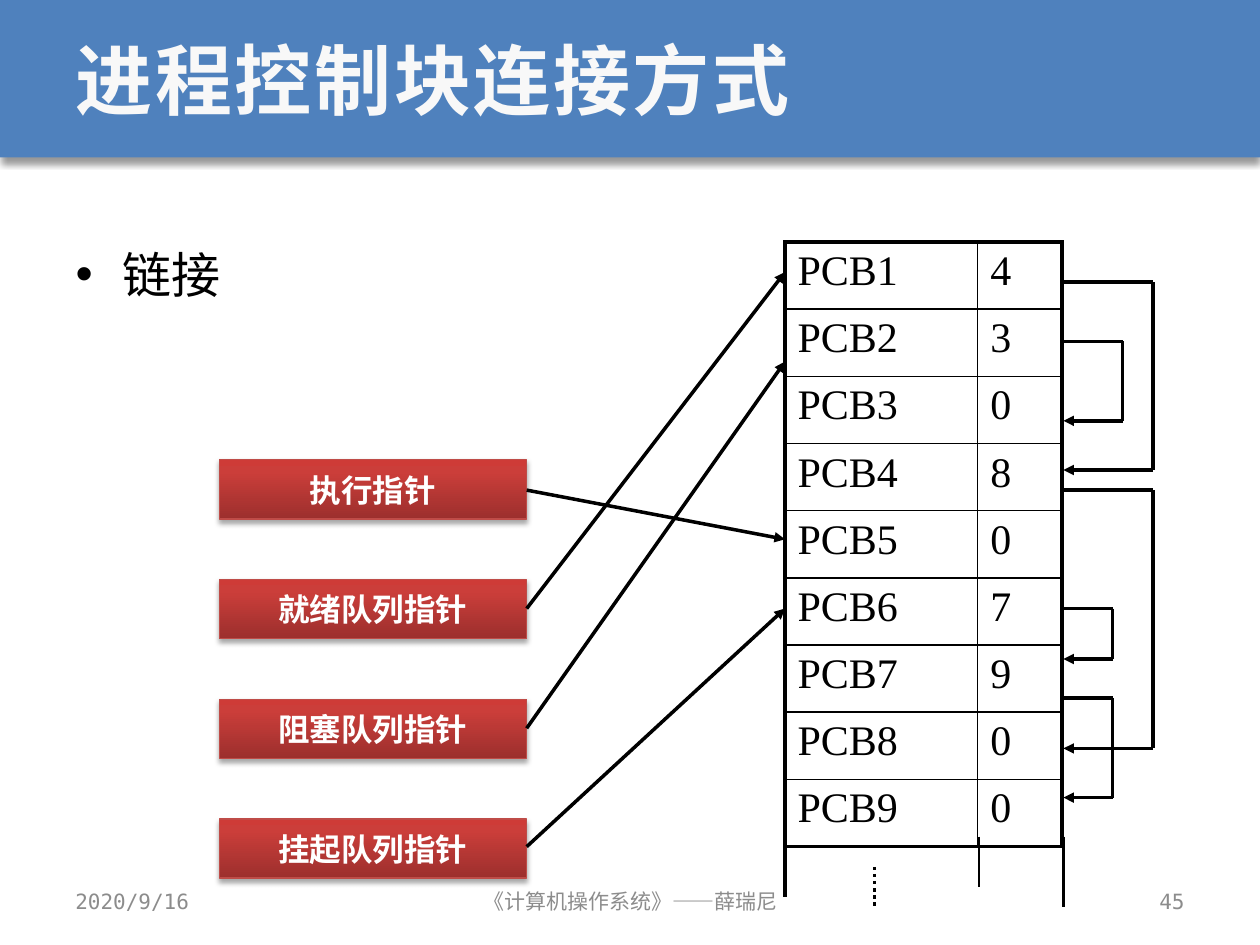
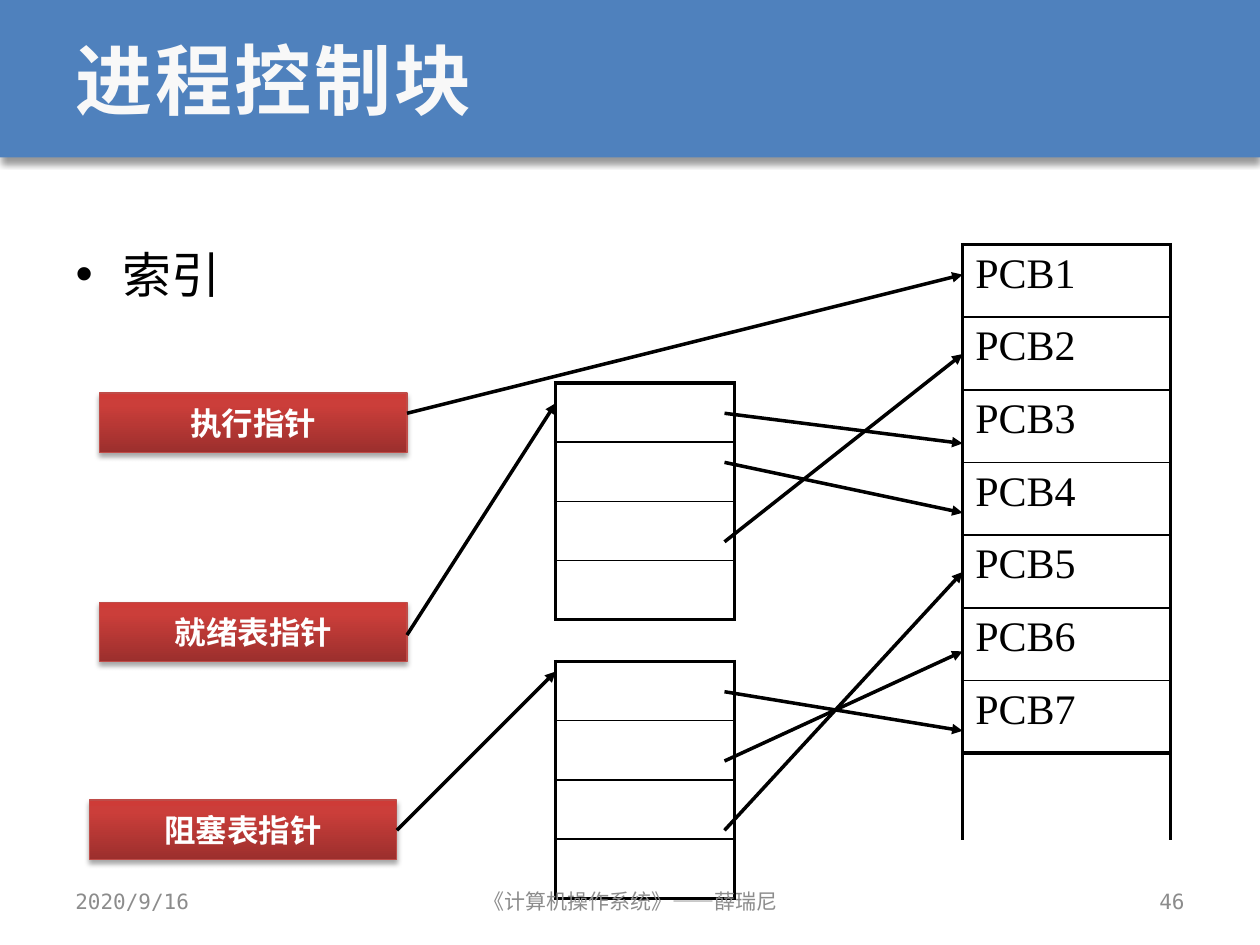
from copy import deepcopy

from pptx import Presentation
from pptx import util as u
from pptx.dml.color import RGBColor
from pptx.enum import dml, shapes, text
from pptx.oxml import parse_xml
from pptx.oxml.ns import nsdecls, qn

BLACK = RGBColor(0x00, 0x00, 0x00)
WHITE = RGBColor(0xFF, 0xFF, 0xFF)
BAND_BLUE = RGBColor(0x4F, 0x81, 0xBD)
TITLE_WHITE = RGBColor(0xF8, 0xF8, 0xF8)
FOOTER_GREY = RGBColor(0x8C, 0x8C, 0x8C)
BUTTON_BORDER = RGBColor(0xBF, 0x4C, 0x48)
BUTTON_STOPS = [
    (0, RGBColor(0x9C, 0x2F, 0x2D)),
    (0.8, RGBColor(0xCB, 0x3E, 0x3A)),
    (1, RGBColor(0xCE, 0x3B, 0x37)),
]

MONO = "DejaVu Sans Mono"
TITLE_FONT = {"name": MONO, "size": u.Pt(44), "bold": True, "color": TITLE_WHITE}
BODY_FONT = {"name": MONO, "size": u.Pt(28), "color": BLACK}
FOOTER_FONT = {"name": MONO, "size": u.Pt(12), "color": FOOTER_GREY}
BUTTON_FONT = {"name": "Arial", "size": u.Pt(18), "bold": True, "color": WHITE}
CELL_FONT = {"name": "Times New Roman", "size": u.Pt(24), "color": BLACK}

BUTTON_WIDTH, BUTTON_HEIGHT = 2.44, 0.47
OUTER_BORDER, INNER_BORDER = 2.25, 1
BODY_INDENT = 0.37
FOOTER_TEXT = "《计算机操作系统》——薛瑞尼"


def apply_font(font, values):
    for name, value in values.items():
        if name == "color":
            font.color.rgb = value
        else:
            setattr(font, name, value)


def write(paragraph, content, font, align=text.PP_ALIGN.LEFT):
    paragraph.alignment = align
    run = paragraph.add_run()
    run.text = content
    apply_font(run.font, font)
    return run


def place(shape, left, top, width, height):
    box = {"left": left, "top": top, "width": width, "height": height}
    for name, value in box.items():
        setattr(shape, name, u.Inches(value))


def add_shadow(shape, blur, distance, opacity):
    """Drop a black shadow straight down; blur and distance in points."""
    shape.element.spPr.append(parse_xml(
        f'<a:effectLst {nsdecls("a")}><a:outerShdw blurRad="{u.Pt(blur)}" '
        f'dist="{u.Pt(distance)}" dir="5400000" rotWithShape="0">'
        f'<a:srgbClr val="000000"><a:alpha val="{opacity * 1000}"/></a:srgbClr>'
        f'</a:outerShdw></a:effectLst>'))


def add_rectangle(slide, left, top, width, height):
    return slide.shapes.add_shape(
        shapes.MSO_SHAPE.RECTANGLE,
        *map(u.Inches, (left, top, width, height)))


def add_title_band(slide):
    """Put the title band behind everything else on the slide."""
    band = add_rectangle(slide, 0, 0, 10, 1.25)
    band.fill.solid()
    band.fill.fore_color.rgb = BAND_BLUE
    band.line.fill.background()
    add_shadow(band, 4, 3, 40)
    slide.shapes.element.insert(2, band.element)


def fill_title(slide, content):
    title = slide.shapes.title
    place(title, 0.5, 0, 9, 1.25)
    frame = title.text_frame
    frame.auto_size = text.MSO_AUTO_SIZE.NONE
    frame.vertical_anchor = text.MSO_ANCHOR.MIDDLE
    run = write(frame.paragraphs[0], content, TITLE_FONT)
    run.font._element.set("spc", "150")


def fill_body(slide, content):
    body = slide.placeholders[1]
    place(body, 0.5, 1.75, 4.42, 4.95)
    body.text_frame.auto_size = text.MSO_AUTO_SIZE.NONE
    paragraph = body.text_frame.paragraphs[0]
    properties = paragraph._p.get_or_add_pPr()
    properties.set("marL", str(u.Inches(BODY_INDENT)))
    properties.set("indent", str(u.Inches(-BODY_INDENT)))
    properties.append(parse_xml(f'<a:buChar {nsdecls("a")} char="•"/>'))
    paragraph.line_spacing = 1.3
    paragraph.space_before = u.Pt(0)
    write(paragraph, content, BODY_FONT)


def add_footer(slide, number):
    parts = [
        ("2020/9/16", 0.5, 2.33, text.PP_ALIGN.LEFT),
        (FOOTER_TEXT, 3.42, 3.17, text.PP_ALIGN.CENTER),
        (str(number), 7.17, 2.33, text.PP_ALIGN.RIGHT),
    ]
    for content, left, width, align in parts:
        box = slide.shapes.add_textbox(
            *map(u.Inches, (left, 6.95, width, 0.4)))
        frame = box.text_frame
        frame.word_wrap = True
        frame.vertical_anchor = text.MSO_ANCHOR.MIDDLE
        write(frame.paragraphs[0], content, FOOTER_FONT, align)


def add_pointer_button(slide, label, left, top):
    button = add_rectangle(slide, left, top, BUTTON_WIDTH, BUTTON_HEIGHT)
    button.fill.gradient()
    button.fill.gradient_angle = 90
    stop_list = button.element.spPr.find(".//" + qn("a:gsLst"))
    stop_list.append(deepcopy(stop_list[0]))
    for stop, (position, color) in zip(button.fill.gradient_stops, BUTTON_STOPS):
        stop.position = position
        stop.color.rgb = color
    button.line.color.rgb = BUTTON_BORDER
    button.line.width = u.Pt(0.75)
    add_shadow(button, 3.1, 1.8, 35)
    frame = button.text_frame
    frame.word_wrap = False
    frame.vertical_anchor = text.MSO_ANCHOR.MIDDLE
    write(frame.paragraphs[0], label, BUTTON_FONT, text.PP_ALIGN.CENTER)


def add_line(slide, start, end, width=2, arrow=False, dash=None):
    line = slide.shapes.add_connector(
        shapes.MSO_CONNECTOR.STRAIGHT, *map(u.Inches, (*start, *end)))
    line.line.color.rgb = BLACK
    line.line.width = u.Pt(width)
    if dash:
        line.line.dash_style = dash
    if arrow:
        line.line._get_or_add_ln().append(
            parse_xml(f'<a:tailEnd {nsdecls("a")} type="triangle"/>'))
    line.element.spPr.append(parse_xml(f'<a:effectLst {nsdecls("a")}/>'))


def add_arrows(slide, left, right, heights):
    for start, end in heights:
        add_line(slide, (left, start), (right, end), arrow=True)


def add_link(slide, edge, reach, top, bottom):
    """Lead out of the table edge, down, and back with an arrowhead."""
    add_line(slide, (edge, top), (reach, top))
    add_line(slide, (reach, top), (reach, bottom))
    add_line(slide, (reach, bottom), (edge, bottom), arrow=True)


def set_borders(cell, widths):
    properties = cell._tc.get_or_add_tcPr()
    for side, width in zip("LRTB", widths):
        properties.append(parse_xml(
            f'<a:ln{side} {nsdecls("a")} w="{u.Pt(width)}"><a:solidFill>'
            f'<a:srgbClr val="{BLACK}"/></a:solidFill></a:ln{side}>'))


def add_grid(slide, rows, left, top, column_widths, height):
    """Add a table with a heavy frame and thin inner lines."""
    last_row, last_column = len(rows) - 1, len(column_widths) - 1
    table = slide.shapes.add_table(
        len(rows), len(column_widths),
        *map(u.Inches, (left, top, sum(column_widths), height))).table
    table.first_row = table.horz_banding = False
    for column, width in zip(table.columns, column_widths):
        column.width = u.Inches(width)
    for r, values in enumerate(rows):
        table.rows[r].height = u.Inches(height / len(rows))
        for c, value in enumerate(values):
            cell = table.cell(r, c)
            on_frame = (c == 0, c == last_column, r == 0, r == last_row)
            set_borders(cell, [OUTER_BORDER if outer else INNER_BORDER
                               for outer in on_frame])
            cell.fill.background()
            if value:
                write(cell.text_frame.paragraphs[0], value, CELL_FONT)


def start_slide(presentation, title, topic):
    slide = presentation.slides.add_slide(presentation.slide_layouts[1])
    add_title_band(slide)
    fill_title(slide, title)
    fill_body(slide, topic)
    return slide


def build_linked_slide(presentation):
    slide = start_slide(presentation, "进程控制块连接方式", "链接")
    button_left, table_left, table_right = 1.74, 6.23, 8.44

    labels = ["执行指针", "就绪队列指针", "阻塞队列指针", "挂起队列指针"]
    for i, label in enumerate(labels):
        add_pointer_button(slide, label, button_left, 3.65 + 0.95 * i)

    next_blocks = [4, 3, 0, 8, 0, 7, 9, 0, 0]
    rows = [(f"PCB{i}", str(link)) for i, link in enumerate(next_blocks, 1)]
    add_grid(slide, rows, table_left, 1.92, [1.53, 0.67], 4.8)

    links = [(9.15, 2.24, 3.73), (8.91, 2.71, 3.34), (9.15, 3.89, 5.94),
             (8.83, 4.83, 5.23), (8.83, 5.54, 6.33)]
    for reach, top, bottom in links:
        add_link(slide, table_right, reach, top, bottom)

    for x, bottom, width in [(table_left, 7.12, 2), (7.77, 7.04, 0.75),
                             (table_right, 7.2, 2)]:
        add_line(slide, (x, 6.64), (x, bottom), width)
    add_line(slide, (6.94, 6.88), (6.94, 7.2), dash=dml.MSO_LINE.ROUND_DOT)
    add_arrows(slide, button_left + BUTTON_WIDTH, table_left,
               [(3.89, 4.28), (4.83, 2.16), (5.78, 2.87), (6.72, 4.83)])
    add_footer(slide, 45)


def build_indexed_slide(presentation):
    slide = start_slide(presentation, "进程控制块", "索引")
    block_left, block_right = 7.64, 9.29
    index_left = 4.41

    add_grid(slide, [(f"PCB{i}",) for i in range(1, 8)],
             block_left, 1.94, [1.65], 4.04)
    for label, left, top in [("执行指针", 0.79, 3.12), ("就绪表指针", 0.79, 4.78),
                             ("阻塞表指针", 0.71, 6.35)]:
        add_pointer_button(slide, label, left, top)
    for x in (block_left, block_right):
        add_line(slide, (x, 5.96), (x, 6.67))
    for top in (3.04, 5.25):
        add_grid(slide, [("",)] * 4, index_left, top, [1.42], 1.88)

    add_arrows(slide, 3.23, block_left, [(3.28, 2.18)])
    add_arrows(slide, 5.75, block_left,
               [(4.3, 2.81), (3.28, 3.52), (3.67, 4.07),
                (5.49, 5.8), (6.59, 4.54), (6.04, 5.17)])
    add_arrows(slide, 3.23, index_left, [(5.04, 3.2)])
    add_arrows(slide, 3.15, index_left, [(6.59, 5.33)])
    add_footer(slide, 46)


def main():
    presentation = Presentation()
    presentation.slide_width = u.Inches(10)
    presentation.slide_height = u.Inches(7.5)
    build_linked_slide(presentation)
    build_indexed_slide(presentation)
    presentation.save("out.pptx")


if __name__ == "__main__":
    main()
